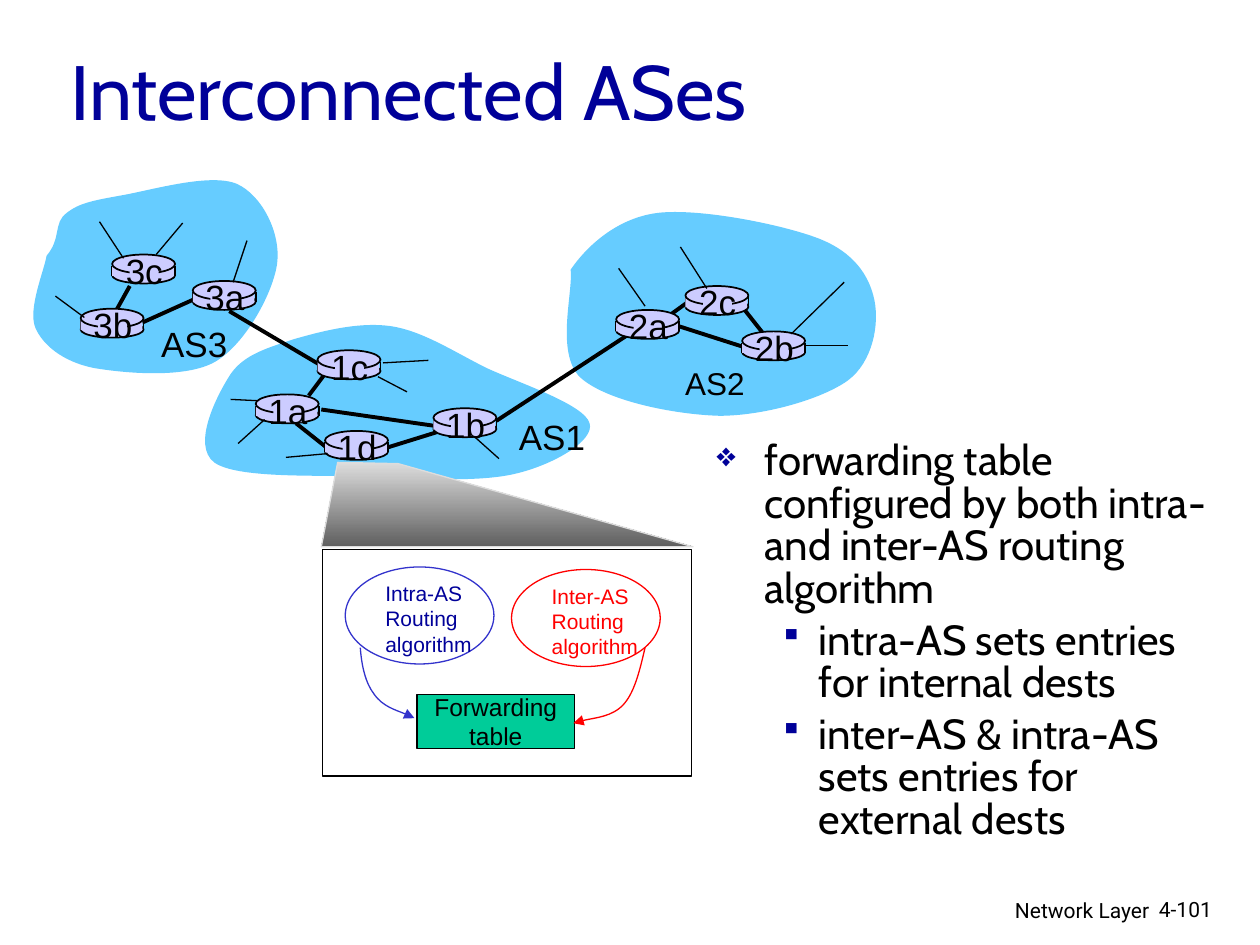
from typing import NamedTuple, Optional

from lxml import etree
from pptx import Presentation, util as u
from pptx.dml.color import RGBColor
from pptx.enum import shapes, text
from pptx.oxml.ns import qn

BLACK = RGBColor(0x00, 0x00, 0x00)
NAVY = RGBColor(0x00, 0x00, 0x99)
BLUE = RGBColor(0x33, 0x33, 0xCC)
RED = RGBColor(0xFF, 0x00, 0x00)
SKY = RGBColor(0x66, 0xCC, 0xFF)
LILAC = RGBColor(0xCC, 0xCC, 0xFF)
GREEN = RGBColor(0x00, 0xCC, 0x99)
PALE_GREY = RGBColor(0xDD, 0xDD, 0xDD)
DARK_GREY = RGBColor(0x5F, 0x5F, 0x5F)
OVAL = shapes.MSO_SHAPE.OVAL
RECT = shapes.MSO_SHAPE.RECTANGLE
LEFT, CENTER, RIGHT = text.PP_ALIGN.LEFT, text.PP_ALIGN.CENTER, text.PP_ALIGN.RIGHT
GRID_CM = 2.54  # the slide is 10 by 7.5 grid units


class Router(NamedTuple):
    name: str
    x: float
    y: float


class Line(NamedTuple):
    x1: float
    y1: float
    x2: float
    y2: float


class Label(NamedTuple):
    words: str
    x: float
    y: float
    width: float
    height: float
    size: float
    color: RGBColor = BLACK
    font: str = "Arial"
    align: text.PP_ALIGN = LEFT
    wrap: bool = False


class Algorithm(NamedTuple):
    words: str
    x: float
    y: float
    line: RGBColor
    ink: RGBColor
    arrow: list


# Each cloud: start point, then two control points and an end point per curve
CLOUDS = [
    [(4.53, 2.14), (4.66, 1.95), (4.9, 1.73), (5.22, 1.69), (5.55, 1.65), (6.2, 1.78),
     (6.49, 1.89), (6.78, 2), (6.9, 2.19), (6.94, 2.38), (6.98, 2.57), (6.93, 2.87),
     (6.73, 3.02), (6.52, 3.17), (6.06, 3.3), (5.71, 3.3), (5.35, 3.29), (4.8, 3.18),
     (4.6, 2.99), (4.41, 2.79), (4.55, 2.32), (4.53, 2.14)],
    [(0.37, 2.03), (0.49, 1.89), (0.42, 1.77), (0.53, 1.69), (0.63, 1.61), (0.75, 1.59),
     (0.97, 1.55), (1.2, 1.51), (1.67, 1.37), (1.88, 1.46), (2.08, 1.55), (2.23, 1.85),
     (2.2, 2.09), (2.17, 2.32), (1.95, 2.73), (1.71, 2.87), (1.47, 3.01), (0.97, 2.96),
     (0.74, 2.92), (0.5, 2.87), (0.34, 2.74), (0.28, 2.6), (0.22, 2.45), (0.35, 2.15),
     (0.37, 2.03)],
    [(1.83, 2.97), (1.94, 2.81), (2.13, 2.76), (2.34, 2.69), (2.55, 2.63), (2.85, 2.55),
     (3.11, 2.59), (3.36, 2.63), (3.6, 2.79), (3.86, 2.92), (4.12, 3.04), (4.64, 3.21),
     (4.68, 3.36), (4.72, 3.5), (4.39, 3.69), (4.09, 3.76), (3.8, 3.83), (3.31, 3.8),
     (2.91, 3.78), (2.52, 3.77), (1.88, 3.8), (1.7, 3.67), (1.52, 3.53), (1.72, 3.14),
     (1.83, 2.97)],
]
ROUTERS = [
    Router("3a", 1.53, 2.23), Router("3b", 0.64, 2.45), Router("3c", 0.89, 2.02),
    Router("1a", 2.03, 3.13), Router("1b", 3.44, 3.24), Router("1c", 2.52, 2.78),
    Router("1d", 2.58, 3.42), Router("2a", 4.89, 2.46), Router("2b", 5.89, 2.63),
    Router("2c", 5.44, 2.27),
]
LINKS = [
    Line(5.39, 2.59, 5.89, 2.75), Line(5.91, 2.46, 6.06, 2.65), Line(5.29, 2.52, 5.47, 2.39),
    Line(3.08, 3.55, 3.5, 3.42), Line(2.35, 3.36, 2.59, 3.55), Line(2.55, 3.25, 3.45, 3.38),
    Line(2.45, 3.14, 2.57, 2.98), Line(1.13, 2.56, 1.53, 2.38), Line(1.82, 2.47, 2.53, 2.89),
    Line(3.94, 3.34, 4.98, 2.66), Line(1.03, 2.27, 0.93, 2.45),
]
STUBS = [
    Line(0.44, 2.35, 0.67, 2.52), Line(1.45, 1.77, 1.24, 2.02), Line(0.79, 1.76, 0.98, 2.05),
    Line(1.96, 1.91, 1.85, 2.24), Line(6.38, 2.74, 6.73, 2.74), Line(6.28, 2.65, 6.7, 2.24),
    Line(5.61, 2.29, 5.4, 1.96), Line(5.12, 2.43, 4.91, 2.13), Line(2.1, 3.33, 1.89, 3.52),
    Line(2.04, 3.18, 1.83, 3.17), Line(2.6, 3.6, 2.27, 3.63), Line(3.04, 2.88, 3.4, 2.86),
    Line(3.77, 3.47, 3.96, 3.64), Line(3, 2.99, 3.23, 3.11),
]
LABELS = [
    Label("AS3", 1.18, 2.51, 0.73, 0.43, 20), Label("AS1", 4.02, 3.25, 0.73, 0.43, 20),
    Label("AS2", 5.34, 2.84, 0.67, 0.4, 18),
    Label("Network Layer", 6.05, 7.07, 3.17, 0.31, 12, font="Roboto", align=RIGHT, wrap=True),
    Label("4-101", 9.1, 7.07, 0.74, 0.3, 12, font="Roboto", wrap=True),
]
ALGORITHMS = [
    Algorithm("Intra-AS\nRouting\nalgorithm", 2.74, 4.5, BLUE, NAVY,
              [(2.86, 5.14), (2.87, 5.28), (2.9, 5.42), (2.97, 5.51),
               (3.04, 5.61), (3.24, 5.67), (3.29, 5.7)]),
    Algorithm("Inter-AS\nRouting\nalgorithm", 4.06, 4.52, RED, RED,
              [(5.12, 5.14), (5.08, 5.31), (5.04, 5.49), (4.95, 5.59),
               (4.86, 5.69), (4.62, 5.71), (4.55, 5.74)]),
]
POINTS = [
    (0, "forwarding table configured by both intra- and inter-AS routing algorithm"),
    (1, "intra-AS sets entries for internal dests"),
    (1, "inter-AS & intra-AS sets entries for external dests"),
]
# Per level: left margin, hanging indent, bullet, bullet size in percent
LEVELS = [(0.38, -0.38, "❖", 80), (0.81, -0.31, "▪", 75)]


def grid(*values: float) -> list:
    return [u.Cm(value * GRID_CM) for value in values]


def paint(shape, fill: Optional[RGBColor], line: Optional[RGBColor], width: float = 0.75) -> None:
    shape.shadow.inherit = False
    if fill is None:
        shape.fill.background()
    else:
        shape.fill.solid()
        shape.fill.fore_color.rgb = fill
    if line is None:
        shape.line.fill.background()
    else:
        shape.line.color.rgb = line
        shape.line.width = u.Pt(width)


def draw_shape(slide, kind, x, y, width, height, fill=None, line=None, weight=0.75):
    shape = slide.shapes.add_shape(kind, *grid(x, y, width, height))
    paint(shape, fill, line, weight)
    return shape


def draw_line(slide, line: Line, width: float) -> None:
    connector = slide.shapes.add_connector(shapes.MSO_CONNECTOR.STRAIGHT, *grid(*line))
    connector.line.color.rgb = BLACK
    connector.line.width = u.Pt(width)
    etree.SubElement(connector._element.spPr, qn("a:effectLst"))


def draw_outline(slide, points: list, closed: bool, curved: bool):
    start, *rest = [grid(*point) for point in points]
    builder = slide.shapes.build_freeform(*start, scale=1.0)
    builder.add_line_segments(rest, close=closed)
    outline = builder.convert_to_shape()
    if curved:  # every three segments become one cubic curve
        segments = list(outline._element.iter(qn("a:lnTo")))
        for i in range(0, len(segments), 3):
            curve = etree.Element(qn("a:cubicBezTo"))
            segments[i].addprevious(curve)
            for segment in segments[i:i + 3]:
                curve.append(segment[0])
                segment.getparent().remove(segment)
    return outline


def write(frame, words: str, size: float, color: RGBColor, font: str, align) -> None:
    frame.text = words
    for paragraph in frame.paragraphs:
        paragraph.alignment = align
        for run in paragraph.runs:
            run.font.size = u.Pt(size)
            run.font.name = font
            run.font.color.rgb = color


def draw_label(slide, label: Label) -> None:
    frame = slide.shapes.add_textbox(*grid(label.x, label.y, label.width, label.height)).text_frame
    frame.word_wrap = label.wrap
    write(frame, label.words, label.size, label.color, label.font, label.align)


def draw_router(slide, router: Router) -> None:
    name, x, y = router
    draw_shape(slide, OVAL, x, y + 0.1, 0.5, 0.13, LILAC, BLACK, 1)
    for side in (x, x + 0.5):
        draw_line(slide, Line(side, y + 0.09, side, y + 0.17), 1)
    draw_shape(slide, RECT, x, y + 0.09, 0.49, 0.08, LILAC)
    draw_shape(slide, OVAL, x, y, 0.5, 0.15, LILAC, BLACK, 1)
    draw_shape(slide, RECT, x + 0.14, y + 0.02, 0.23, 0.2, LILAC)
    draw_label(slide, Label(name, x, y - 0.09, 0.51, 0.43, 20, align=CENTER))


def draw_algorithm(slide, algorithm: Algorithm) -> None:
    x, y = algorithm.x, algorithm.y
    draw_shape(slide, OVAL, x, y, 1.18, 0.77, line=algorithm.line)
    draw_label(slide, Label(algorithm.words, x + 0.22, y + 0.06, 0.95, 0.7, 12, algorithm.ink))
    arrow = draw_outline(slide, algorithm.arrow, closed=False, curved=True)
    paint(arrow, None, algorithm.line)
    etree.SubElement(arrow.line._get_or_add_ln(), qn("a:tailEnd"), type="triangle")


def draw_points(slide) -> None:
    frame = slide.shapes.add_textbox(*grid(5.59, 3.45, 4.17, 3.72)).text_frame
    frame.word_wrap = True
    write(frame, "\n".join(words for _, words in POINTS), 24, BLACK, "Cabin", LEFT)
    for i, (paragraph, (level, _)) in enumerate(zip(frame.paragraphs, POINTS)):
        margin, indent, bullet, percent = LEVELS[level]
        props = paragraph._p.get_or_add_pPr()
        for key, value in zip(("marL", "indent"), grid(margin, indent)):
            props.set(key, str(value))
        color = etree.SubElement(props, qn("a:buClr"))
        etree.SubElement(color, qn("a:srgbClr"), val=str(NAVY))
        etree.SubElement(props, qn("a:buSzPct"), val=str(percent * 1000))
        etree.SubElement(props, qn("a:buChar"), char=bullet)
        paragraph.level = level
        paragraph.line_spacing = 0.85
        if i:
            paragraph.space_before = u.Pt(4.8)


def main() -> None:
    deck = Presentation()
    deck.slide_width, deck.slide_height = grid(10, 7.5)
    slide = deck.slides.add_slide(deck.slide_layouts[5])

    # Title
    title = slide.shapes.title
    title.left, title.top, title.width, title.height = grid(0.46, 0.25, 8.5, 0.92)
    title.text_frame.vertical_anchor = text.MSO_ANCHOR.MIDDLE
    write(title.text_frame, "Interconnected ASes", 44, NAVY, "Cabin", LEFT)

    # Autonomous systems with their routers
    for cloud in CLOUDS:
        paint(draw_outline(slide, cloud, closed=True, curved=True), SKY, None)
    for link in LINKS:
        draw_line(slide, link, 2.25)
    for router in ROUTERS:
        draw_router(slide, router)
    for stub in STUBS:
        draw_line(slide, stub, 0.75)
    for label in LABELS:
        draw_label(slide, label)

    # Zoom into router 1d
    zoom = draw_outline(slide, [(2.55, 4.34), (2.68, 3.67), (3.16, 3.68), (5.5, 4.34)],
                        closed=True, curved=False)
    paint(zoom, None, PALE_GREY)
    zoom.fill.gradient()
    zoom.fill.gradient_angle = 270
    for stop, color in zip(zoom.fill.gradient_stops, (PALE_GREY, DARK_GREY)):
        stop.color.rgb = color
    draw_shape(slide, RECT, 2.56, 4.36, 2.93, 1.8, line=BLACK)
    table = draw_shape(slide, RECT, 3.31, 5.51, 1.25, 0.43, GREEN, BLACK).text_frame
    table.word_wrap = False
    table.vertical_anchor = text.MSO_ANCHOR.MIDDLE
    write(table, "Forwarding\ntable", 14, BLACK, "Arial", CENTER)
    for algorithm in ALGORITHMS:
        draw_algorithm(slide, algorithm)

    draw_points(slide)
    deck.save("out.pptx")


if __name__ == "__main__":
    main()
